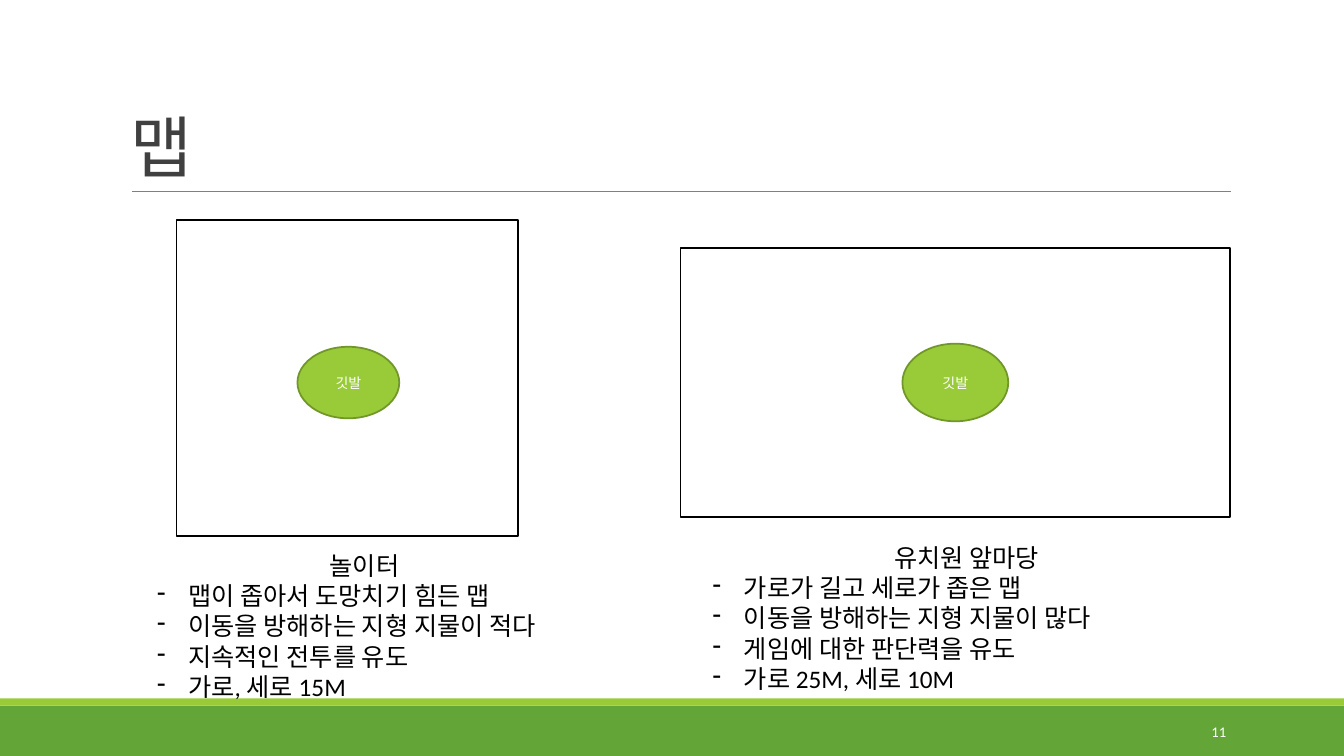
"""Build the slide that compares the two game maps."""
from dataclasses import dataclass

import lxml.etree
import pptx
import pptx.dml.color
import pptx.enum.shapes
import pptx.enum.text
import pptx.oxml.ns
import pptx.util

EMU_PER_PX = 9144
FONT = "Calibri"
SHAPES = pptx.enum.shapes.MSO_SHAPE
ALIGN = pptx.enum.text.PP_ALIGN
ANCHOR = pptx.enum.text.MSO_ANCHOR


@dataclass(frozen=True)
class Area:
    left: int
    top: int
    width: int
    height: int

    def emu(self) -> list[int]:
        """Return the four lengths in EMU."""
        return [value * EMU_PER_PX for value in (self.left, self.top, self.width, self.height)]


@dataclass(frozen=True)
class GameMap:
    field: Area
    flag: Area
    notes: Area
    name: str
    traits: tuple[str, ...]


MAPS = (
    GameMap(Area(175, 218, 339, 314), Area(295, 344, 101, 71), Area(146, 541, 431, 162), "놀이터",
            ("맵이 좁아서 도망치기 힘든 맵", "이동을 방해하는 지형 지물이 적다",
             "지속적인 전투를 유도", "가로, 세로 15M")),
    GameMap(Area(675, 246, 545, 267), Area(895, 341, 105, 77), Area(697, 533, 523, 162), "유치원 앞마당",
            ("가로가 길고 세로가 좁은 맵", "이동을 방해하는 지형 지물이 많다",
             "게임에 대한 판단력을 유도", "가로 25M, 세로 10M")),
)


def color(value: str) -> pptx.dml.color.RGBColor:
    """Turn a hex string into a colour."""
    return pptx.dml.color.RGBColor.from_string(value)


def add_figure(shapes, kind, area: Area, fill: str, line: str = ""):
    """Draw a filled preset shape, outlined when a line colour is given."""
    shape = shapes.add_shape(kind, *area.emu())
    shape.shadow.inherit = False
    shape.fill.solid()
    shape.fill.fore_color.rgb = color(fill)
    if line:
        shape.line.color.rgb = color(line)
        shape.line.width = pptx.util.Pt(1.25)
    else:
        shape.line.fill.background()
    return shape


def write(para, text: str, size: float, ink: str, align=ALIGN.LEFT) -> None:
    """Write one paragraph in a single style."""
    para.text = text
    para.alignment = align
    para.font.name = FONT
    para.font.size = pptx.util.Pt(size)
    para.font.color.rgb = color(ink)


def add_box(page, area: Area, anchor=ANCHOR.TOP):
    """Add a wrapping text box and return its text frame."""
    frame = page.shapes.add_textbox(*area.emu()).text_frame
    frame.word_wrap = True
    frame.vertical_anchor = anchor
    return frame


def add_dash(para) -> None:
    """Give a paragraph a hanging dash bullet."""
    properties = para._p.get_or_add_pPr()
    indent = 31 * EMU_PER_PX
    properties.set("marL", str(indent))
    properties.set("indent", str(-indent))
    bullet = lxml.etree.Element(pptx.oxml.ns.qn("a:buChar"), char="-")
    properties.find(pptx.oxml.ns.qn("a:defRPr")).addprevious(bullet)


def add_map(page, game_map: GameMap) -> None:
    """Draw a map as a grouped field and flag."""
    group = page.shapes.add_group_shape()
    add_figure(group.shapes, SHAPES.RECTANGLE, game_map.field, "FFFFFF", "000000")
    flag = add_figure(group.shapes, SHAPES.OVAL, game_map.flag, "99CB38", "719629")
    flag.text_frame.vertical_anchor = ANCHOR.MIDDLE
    para = flag.text_frame.paragraphs[0]
    write(para, "깃발", 10, "FFFFFF", ALIGN.CENTER)
    para.line_spacing = 1.07
    para.space_after = pptx.util.Pt(8)


def add_notes(page, game_map: GameMap) -> None:
    """Write the name of a map and its traits."""
    frame = add_box(page, game_map.notes)
    frame.auto_size = pptx.enum.text.MSO_AUTO_SIZE.SHAPE_TO_FIT_TEXT
    write(frame.paragraphs[0], game_map.name, 18, "000000", ALIGN.CENTER)
    for trait in game_map.traits:
        para = frame.add_paragraph()
        write(para, trait, 18, "000000")
        add_dash(para)


def add_rule(page) -> None:
    """Draw the thin line under the title."""
    start_x, y, length, _ = Area(131, 190, 1090, 0).emu()
    rule = page.shapes.add_connector(
        pptx.enum.shapes.MSO_CONNECTOR.STRAIGHT, start_x, y, start_x + length, y)
    rule.line.color.rgb = color("808080")
    rule.line.width = pptx.util.Pt(0.5)
    lxml.etree.SubElement(rule._element.spPr, pptx.oxml.ns.qn("a:effectLst"))


def main() -> None:
    """Build and save the deck."""
    deck = pptx.Presentation()
    deck.slide_width, deck.slide_height = Area(0, 0, 1333, 750).emu()[2:]
    page = deck.slides.add_slide(deck.slide_layouts[6])

    add_figure(page.shapes, SHAPES.RECTANGLE, Area(0, 700, 1333, 50), "63A537")
    add_figure(page.shapes, SHAPES.RECTANGLE, Area(0, 693, 1333, 7), "99CB38")
    add_rule(page)

    title = add_box(page, Area(120, 31, 1100, 159), ANCHOR.BOTTOM).paragraphs[0]
    write(title, "맵", 48, "404040")
    title.line_spacing = 0.85

    for game_map in MAPS:
        add_map(page, game_map)
    for game_map in MAPS:
        add_notes(page, game_map)

    number = add_box(page, Area(1083, 706, 143, 40), ANCHOR.MIDDLE).paragraphs[0]
    write(number, "11", 10.5, "FFFFFF", ALIGN.RIGHT)
    deck.save("out.pptx")


if __name__ == "__main__":
    main()
